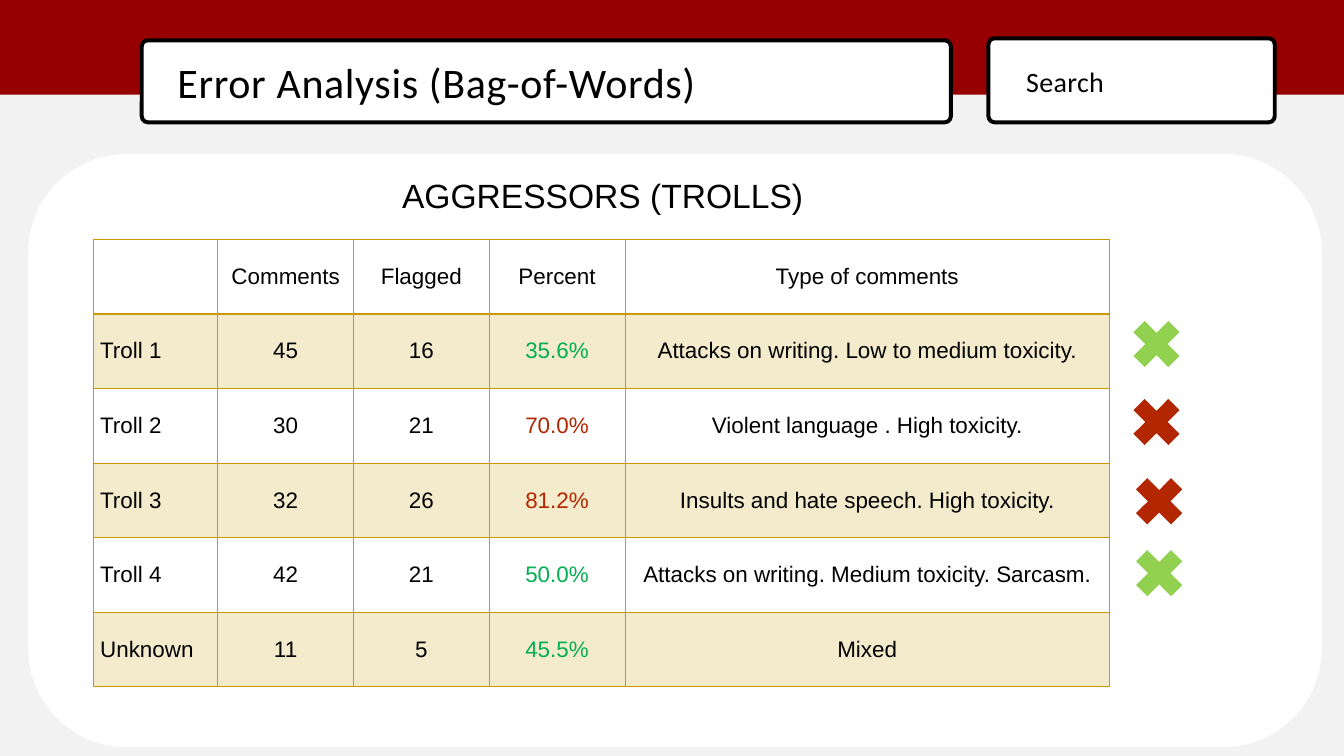
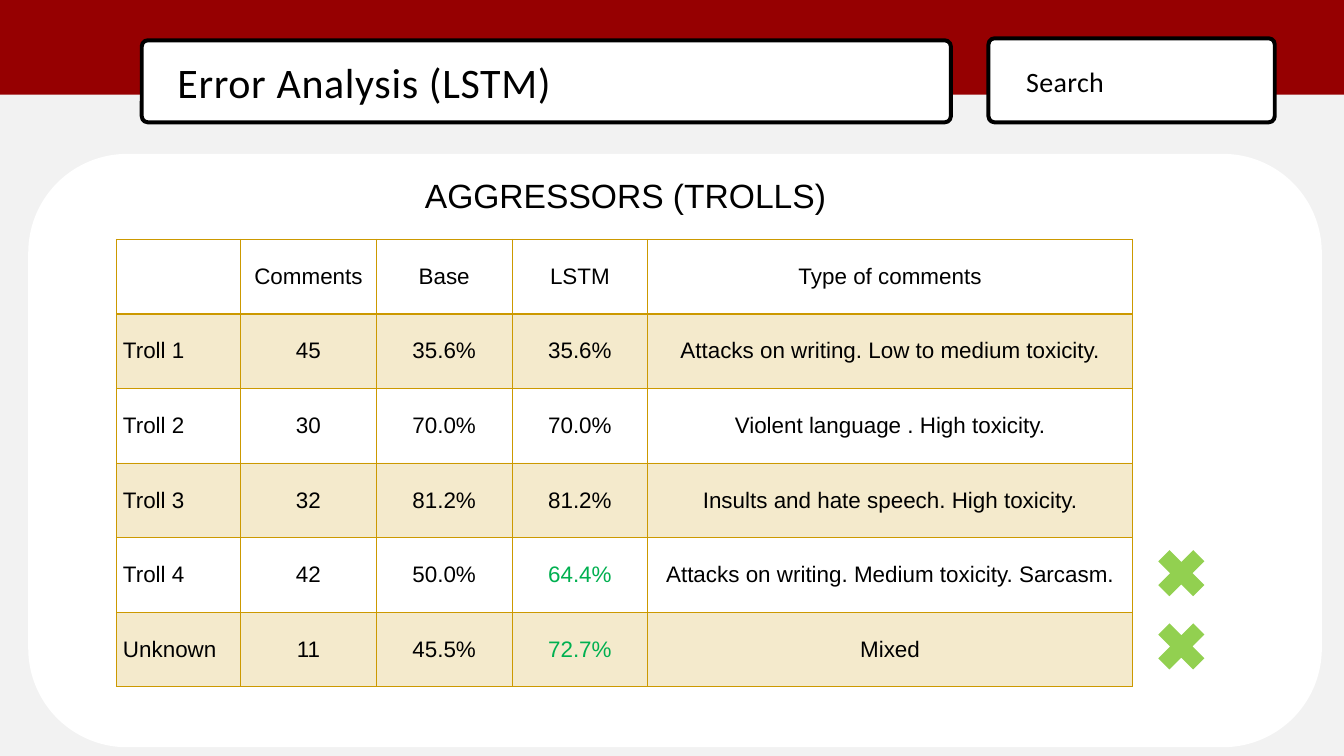
from lxml import etree
from pptx import Presentation
from pptx.dml.color import RGBColor
from pptx.enum.shapes import MSO_SHAPE
from pptx.enum.text import MSO_ANCHOR, MSO_AUTO_SIZE, PP_ALIGN
from pptx.oxml.ns import qn
from pptx.util import Inches, Pt

RECTANGLE, ROUNDED = MSO_SHAPE.RECTANGLE, MSO_SHAPE.ROUNDED_RECTANGLE
CROSS = MSO_SHAPE.MATH_MULTIPLY
LEFT, CENTER = PP_ALIGN.LEFT, PP_ALIGN.CENTER
TOP, MIDDLE = MSO_ANCHOR.TOP, MSO_ANCHOR.MIDDLE
NO_AUTOFIT = MSO_AUTO_SIZE.NONE

BLACK = RGBColor(0x00, 0x00, 0x00)
WHITE = RGBColor(0xFF, 0xFF, 0xFF)
PAGE_GRAY = RGBColor(0xF2, 0xF2, 0xF2)
BAND_RED = RGBColor(0x96, 0x00, 0x01)
GOLD = RGBColor(0xCC, 0x99, 0x00)
TEXT_GREEN = RGBColor(0x00, 0xB0, 0x50)
DARK_RED = RGBColor(0xB2, 0x26, 0x00)
MARK_GREEN = RGBColor(0x92, 0xD0, 0x50)

HEADING = "AGGRESSORS (TROLLS)"
TROLLS = [
    ("Troll 1", "45", "Attacks on writing. Low to medium toxicity."),
    ("Troll 2", "30", "Violent language . High toxicity."),
    ("Troll 3", "32", "Insults and hate speech. High toxicity."),
    ("Troll 4", "42", "Attacks on writing. Medium toxicity. Sarcasm."),
    ("Unknown", "11", "Mixed"),
]
SLIDES = [
    {
        "title": "Error Analysis (Bag-of-Words)",
        "table_left": 1.39,
        "measures": ("Flagged", "Percent"),
        "results": [
            ("16", "35.6%", TEXT_GREEN),
            ("21", "70.0%", DARK_RED),
            ("26", "81.2%", DARK_RED),
            ("21", "50.0%", TEXT_GREEN),
            ("5", "45.5%", TEXT_GREEN),
        ],
        "marks": [
            (16.71, 4.62, MARK_GREEN),
            (16.71, 5.78, DARK_RED),
            (16.75, 6.96, DARK_RED),
            (16.75, 8.03, MARK_GREEN),
        ],
    },
    {
        "title": "Error Analysis (LSTM)",
        "table_left": 1.73,
        "measures": ("Base", "LSTM"),
        "results": [
            ("35.6%", "35.6%", BLACK),
            ("70.0%", "70.0%", BLACK),
            ("81.2%", "81.2%", BLACK),
            ("50.0%", "64.4%", TEXT_GREEN),
            ("45.5%", "72.7%", TEXT_GREEN),
        ],
        "marks": [(17.08, 8.03, MARK_GREEN), (17.08, 9.12, MARK_GREEN)],
    },
]

COLUMN_WIDTHS = (1.85, 2.02, 2.02, 2.02, 7.21)
RESULT_COLUMN = 3
ROW_HEIGHT = 1.11
TABLE_TOP = 3.56
HEADING_OFFSET = 4.28
FRAME_RADIUS = 0.09


def add_box(slide, kind, left, top, width, height, fill):
    shape = slide.shapes.add_shape(
        kind, Inches(left), Inches(top), Inches(width), Inches(height))
    shape.shadow.inherit = False
    shape.fill.solid()
    shape.fill.fore_color.rgb = fill
    shape.line.fill.background()
    return shape


def add_frame(slide, left, top, width, height):
    frame = add_box(slide, ROUNDED, left, top, width, height, WHITE)
    frame.adjustments[0] = FRAME_RADIUS / height
    frame.line.color.rgb = BLACK
    frame.line.width = Pt(4.25)


def format_paragraph(paragraph, size, font, color=BLACK, alignment=LEFT):
    paragraph.alignment = alignment
    paragraph.font.size = Pt(size)
    paragraph.font.name = font
    paragraph.font.color.rgb = color


def write_bar_text(shape, text, size, line_spacing, letter_spacing):
    frame = shape.text_frame
    frame.text = text
    frame.word_wrap = True
    frame.auto_size = NO_AUTOFIT
    frame.vertical_anchor = TOP
    frame.margin_left = frame.margin_right = 0
    frame.margin_top = frame.margin_bottom = 0
    paragraph = frame.paragraphs[0]
    paragraph.line_spacing = Pt(line_spacing)
    format_paragraph(paragraph, size, "Calibri")
    properties = paragraph.runs[0]._r.get_or_add_rPr()
    properties.set("spc", str(letter_spacing))


def add_background(slide):
    add_box(slide, ROUNDED, 0.42, 2.29, 19.25, 8.83, WHITE)
    add_box(slide, RECTANGLE, 0, 0, 20, 1.41, BAND_RED)


def add_search(slide):
    add_frame(slide, 14.71, 0.57, 4.26, 1.25)
    search = slide.shapes.add_textbox(
        Inches(15.27), Inches(0.88), Inches(2.26), Inches(0.53))
    write_bar_text(search, "Search", 30, 42, 40)


def add_title(slide, text):
    add_frame(slide, 2.11, 0.6, 12.04, 1.22)
    title = slide.shapes.title
    title.left, title.top = Inches(2.64), Inches(0.71)
    title.width, title.height = Inches(10.97), Inches(0.88)
    write_bar_text(title, text, 45, 63, 70)
    slide.shapes._spTree.append(title._element)


def add_borders(cell, is_header):
    properties = cell._tc.get_or_add_tcPr()
    for side in "LRTB":
        width = 2 if is_header and side == "B" else 1
        line = etree.SubElement(
            properties, qn(f"a:ln{side}"), w=str(Pt(width)))
        solid = etree.SubElement(line, qn("a:solidFill"))
        etree.SubElement(solid, qn("a:srgbClr"), val=str(GOLD))


def fill_cell(cell, is_shaded):
    if not is_shaded:
        cell.fill.background()
        return
    cell.fill.solid()
    cell.fill.fore_color.rgb = GOLD
    color = cell._tc.tcPr.find(qn("a:solidFill")).find(qn("a:srgbClr"))
    etree.SubElement(color, qn("a:alpha"), val="20000")


def add_results_table(slide, content):
    rows = [("", "Comments", *content["measures"], "Type of comments")]
    result_colors = [BLACK]
    for (name, comments, kind), (first, second, color) in zip(
            TROLLS, content["results"]):
        rows.append((name, comments, first, second, kind))
        result_colors.append(color)

    table = slide.shapes.add_table(
        len(rows), len(COLUMN_WIDTHS),
        Inches(content["table_left"]), Inches(TABLE_TOP),
        Inches(sum(COLUMN_WIDTHS)), Inches(ROW_HEIGHT * len(rows))).table
    table.first_row = table.horz_banding = False
    for column, width in zip(table.columns, COLUMN_WIDTHS):
        column.width = Inches(width)
    for row_index, row in enumerate(rows):
        table.rows[row_index].height = Inches(ROW_HEIGHT)
        for column_index, text in enumerate(row):
            cell = table.cell(row_index, column_index)
            cell.text = text
            cell.vertical_anchor = MIDDLE
            is_result = column_index == RESULT_COLUMN
            color = result_colors[row_index] if is_result else BLACK
            alignment = CENTER if column_index else LEFT
            format_paragraph(cell.text_frame.paragraphs[0], 24, "Arial",
                             color, alignment)
            add_borders(cell, row_index == 0)
            fill_cell(cell, row_index % 2 == 1)


def add_heading(slide, table_left):
    heading = slide.shapes.add_textbox(
        Inches(table_left + HEADING_OFFSET), Inches(2.55),
        Inches(6.6), Inches(0.71))
    heading.text_frame.word_wrap = True
    paragraph = heading.text_frame.paragraphs[0]
    paragraph.text = HEADING
    paragraph.space_after = Pt(12)
    format_paragraph(paragraph, 36, "Arial", alignment=CENTER)


def main():
    presentation = Presentation()
    presentation.slide_width = Inches(20)
    presentation.slide_height = Inches(11.25)
    background = presentation.slide_master.background.fill
    background.solid()
    background.fore_color.rgb = PAGE_GRAY
    title_only = presentation.slide_layouts[5]

    for content in SLIDES:
        slide = presentation.slides.add_slide(title_only)
        add_background(slide)
        add_search(slide)
        add_title(slide, content["title"])
        add_results_table(slide, content)
        add_heading(slide, content["table_left"])
        for left, top, color in content["marks"]:
            add_box(slide, CROSS, left, top, 1, 1, color)

    presentation.save("out.pptx")


if __name__ == "__main__":
    main()
